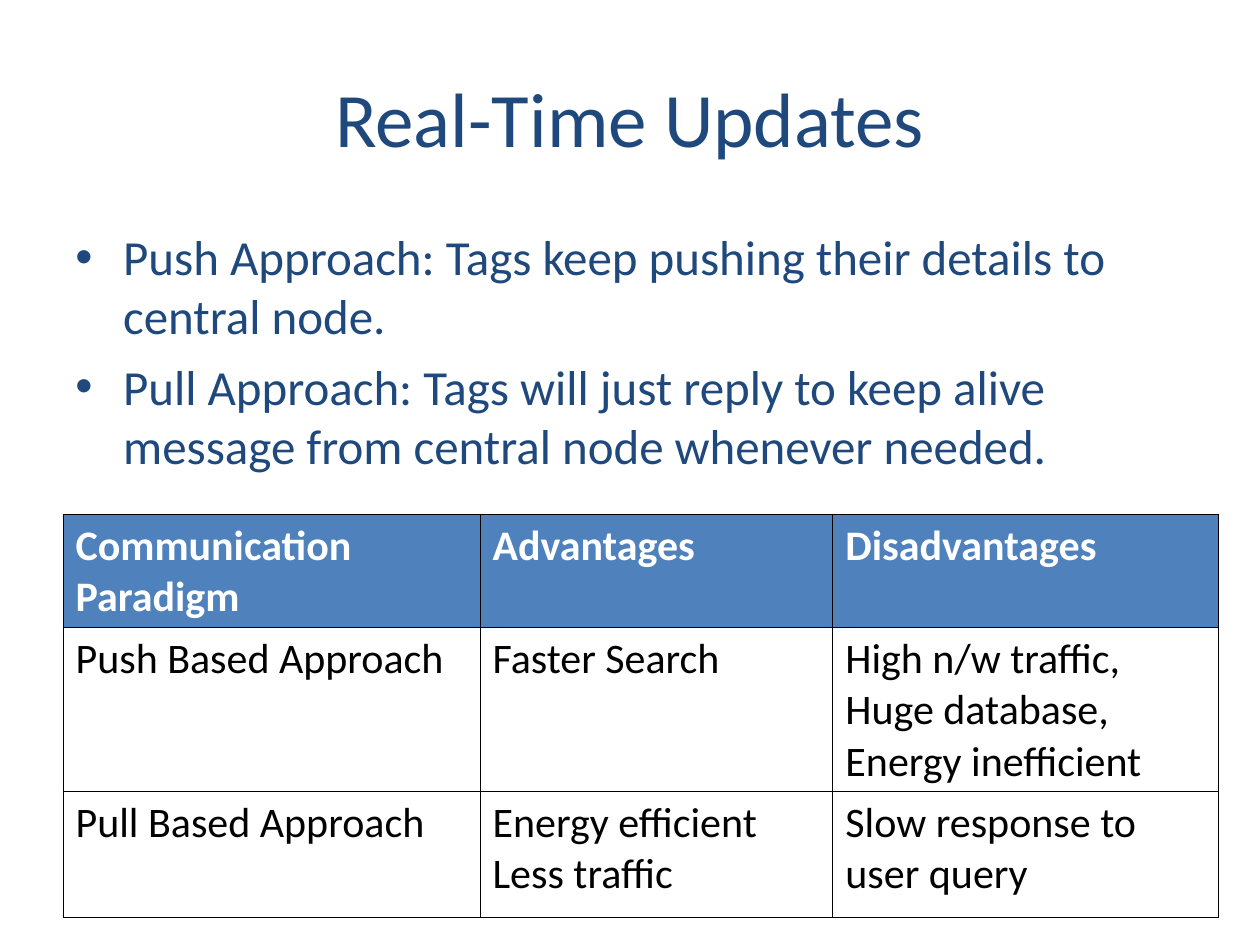
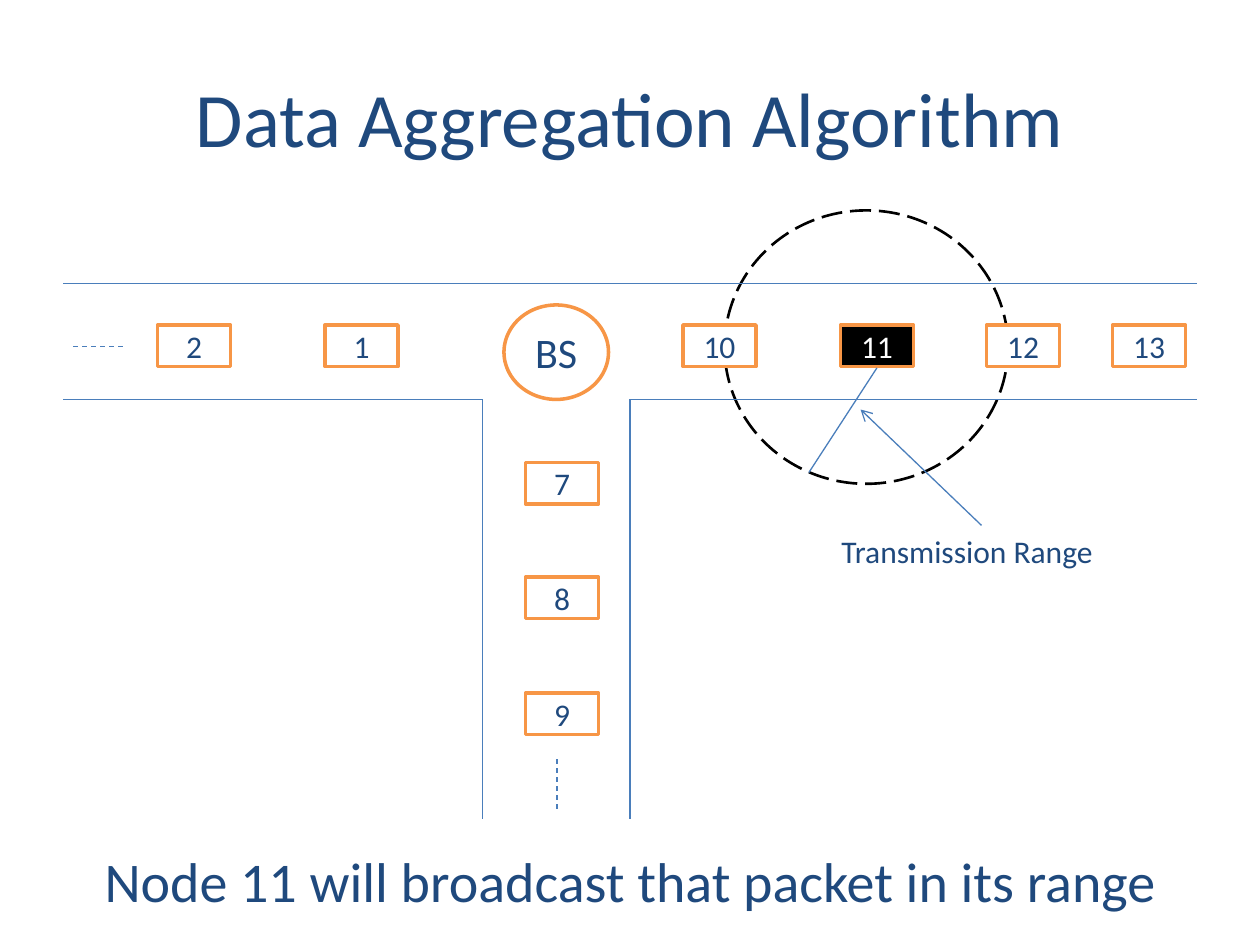
import pptx
import pptx.util
import pptx.dml.color
import pptx.enum.dml
import pptx.enum.shapes
import pptx.enum.text
import pptx.oxml
import pptx.oxml.ns

Inches = pptx.util.Inches
Pt = pptx.util.Pt
RGBColor = pptx.dml.color.RGBColor
ALIGN = pptx.enum.text.PP_ALIGN
ANCHOR = pptx.enum.text.MSO_ANCHOR
DASH = pptx.enum.dml.MSO_LINE
SHAPE = pptx.enum.shapes.MSO_SHAPE

NAVY = RGBColor(0x1F, 0x49, 0x7D)
BLUE = RGBColor(0x4F, 0x81, 0xBD)
ROAD = RGBColor(0x4A, 0x7E, 0xBB)
ORANGE = RGBColor(0xF7, 0x96, 0x46)
BLACK = RGBColor(0, 0, 0)
WHITE = RGBColor(0xFF, 0xFF, 0xFF)
FONT = "Calibri"

POINTS = [
    "Push Approach: Tags keep pushing their details to central node.",
    "Pull Approach: Tags will just reply to keep alive message from central node whenever needed.",
]
ROWS = [
    ["Communication Paradigm", "Advantages", "Disadvantages"],
    ["Push Based Approach", "Faster Search", "High n/w traffic,\nHuge database,\nEnergy inefficient"],
    ["Pull Based Approach", "Energy efficient\nLess traffic", "Slow response to user query"],
]
WIDTHS = [3.31, 2.8, 3.06]
HEIGHTS = [0.9, 1.3, 1]

STREET = 2.58
LANE = 4.17
LEFT, RIGHT = 3.83, 5
TOP, EDGE, END = 2.25, 3.17, 6.5
ACROSS = {"1": 2.58, "2": 1.25, "10": 5.42, "11": 6.67, "12": 7.83, "13": 8.83}
DOWN = {"7": 3.67, "8": 4.58, "9": 5.5}
NODES = [(name, x, STREET) for name, x in ACROSS.items()]
NODES += [(name, LANE, y) for name, y in DOWN.items()]
SENDER = "11"
CURBS = [
    (0.5, TOP, 9.5, TOP),
    (0.5, EDGE, LEFT, EDGE),
    (RIGHT, EDGE, 9.5, EDGE),
    (LEFT, EDGE, LEFT, END),
    (RIGHT, EDGE, RIGHT, END),
]
TRAILS = [(0.58, 2.75, 1, 2.75), (4.42, 6.42, 4.42, 6)]


def add_xml(parent, tag, **attrs):
    node = pptx.oxml.ns.qn(tag)
    item = parent.makeelement(node, attrs)
    parent.append(item)
    return item


def write(frame, text, size=18, color=NAVY, bold=False, align=ALIGN.LEFT,
          anchor=ANCHOR.TOP, bullet=False, gap=0):
    frame.word_wrap = True
    frame.vertical_anchor = anchor
    for i, line in enumerate(text.split("\n")):
        para = frame.paragraphs[0] if i == 0 else frame.add_paragraph()
        para.alignment = align
        if i and gap:
            para.space_before = Pt(gap)
        if bullet:
            props = para._p.get_or_add_pPr()
            props.set("marL", str(Inches(0.38)))
            props.set("indent", str(-Inches(0.38)))
            add_xml(props, "a:buFont", typeface="Arial")
            add_xml(props, "a:buChar", char="•")
        run = para.add_run()
        run.text = line
        run.font.name = FONT
        run.font.size = Pt(size)
        run.font.bold = bold
        run.font.color.rgb = color


def add_text(slide, text, x, y, w, h, **style):
    box = slide.shapes.add_textbox(Inches(x), Inches(y), Inches(w), Inches(h))
    write(box.text_frame, text, **style)


def add_line(slide, ends, dash=None, arrow=False):
    line = slide.shapes.add_connector(
        pptx.enum.shapes.MSO_CONNECTOR.STRAIGHT, *[Inches(v) for v in ends])
    line.line.color.rgb = ROAD
    line.line.width = Pt(0.75)
    if dash:
        line.line.dash_style = dash
    if arrow:
        add_xml(line.line._get_or_add_ln(), "a:tailEnd", type="arrow")
    add_xml(line._element.spPr, "a:effectLst")


def add_node(slide, kind, x, y, w, h, fill=WHITE, edge=ORANGE, width=2):
    node = slide.shapes.add_shape(kind, Inches(x), Inches(y), Inches(w), Inches(h))
    node.shadow.inherit = False
    node.fill.solid()
    node.fill.fore_color.rgb = fill
    node.line.color.rgb = edge
    node.line.width = Pt(width)
    return node


def add_title(slide, text):
    add_text(slide, text, 0.5, 0.3, 9, 1.25, size=44,
             align=ALIGN.CENTER, anchor=ANCHOR.MIDDLE)


def frame_cell(cell):
    props = cell._tc.get_or_add_tcPr()
    for side in "LRTB":
        edge = add_xml(props, "a:ln" + side, w=str(Pt(0.45)))
        paint = add_xml(edge, "a:solidFill")
        add_xml(paint, "a:srgbClr", val=str(BLACK))


def add_grid(slide, x, y):
    grid = slide.shapes.add_table(
        len(ROWS), len(WIDTHS), Inches(x), Inches(y),
        Inches(sum(WIDTHS)), Inches(sum(HEIGHTS))).table
    grid.horz_banding = False
    for col, width in zip(grid.columns, WIDTHS):
        col.width = Inches(width)
    for r, (row, height) in enumerate(zip(ROWS, HEIGHTS)):
        grid.rows[r].height = Inches(height)
        head = r == 0
        for c, text in enumerate(row):
            cell = grid.cell(r, c)
            frame_cell(cell)
            if head:
                cell.fill.solid()
                cell.fill.fore_color.rgb = BLUE
            else:
                cell.fill.background()
            write(cell.text_frame, text, size=24, bold=head,
                  color=WHITE if head else BLACK)


def draw_updates(slide):
    add_title(slide, "Real-Time Updates")
    add_grid(slide, 0.5, 4.08)
    add_text(slide, "\n".join(POINTS), 0.5, 1.75, 9.17, 2.25,
             size=28, bullet=True, gap=7)


def draw_roads(slide):
    scope = add_node(slide, SHAPE.OVAL, 5.75, 1.67, 2.25, 2.17, edge=BLACK, width=1.5)
    scope.line.dash_style = DASH.LONG_DASH
    add_title(slide, "Data Aggregation Algorithm")
    for curb in CURBS:
        add_line(slide, curb)
    base = add_node(slide, SHAPE.OVAL, 4, 2.42, 0.83, 0.75)
    write(base.text_frame, "BS", size=24, align=ALIGN.CENTER, anchor=ANCHOR.MIDDLE)
    for name, x, y in NODES:
        lit = name == SENDER
        node = add_node(slide, SHAPE.RECTANGLE, x, y, 0.58, 0.33,
                        fill=BLACK if lit else WHITE)
        write(node.text_frame, name, color=WHITE if lit else NAVY,
              align=ALIGN.CENTER, anchor=ANCHOR.MIDDLE)
    for trail in TRAILS:
        add_line(slide, trail, dash=DASH.DASH)
    add_line(slide, (6.96, 2.92, 6.42, 3.75))
    add_text(slide, "Node 11 will broadcast that packet in its range",
             0.17, 6.67, 9.67, 0.75, size=32, align=ALIGN.CENTER)
    add_text(slide, "Transmission Range", 6.58, 4.17, 2.42, 0.7)
    add_line(slide, (7.79, 4.17, 6.83, 3.25), arrow=True)


def main():
    deck = pptx.Presentation()
    deck.slide_width = Inches(10)
    deck.slide_height = Inches(7.5)
    for draw in (draw_updates, draw_roads):
        draw(deck.slides.add_slide(deck.slide_layouts[6]))
    deck.save("out.pptx")


if __name__ == "__main__":
    main()
